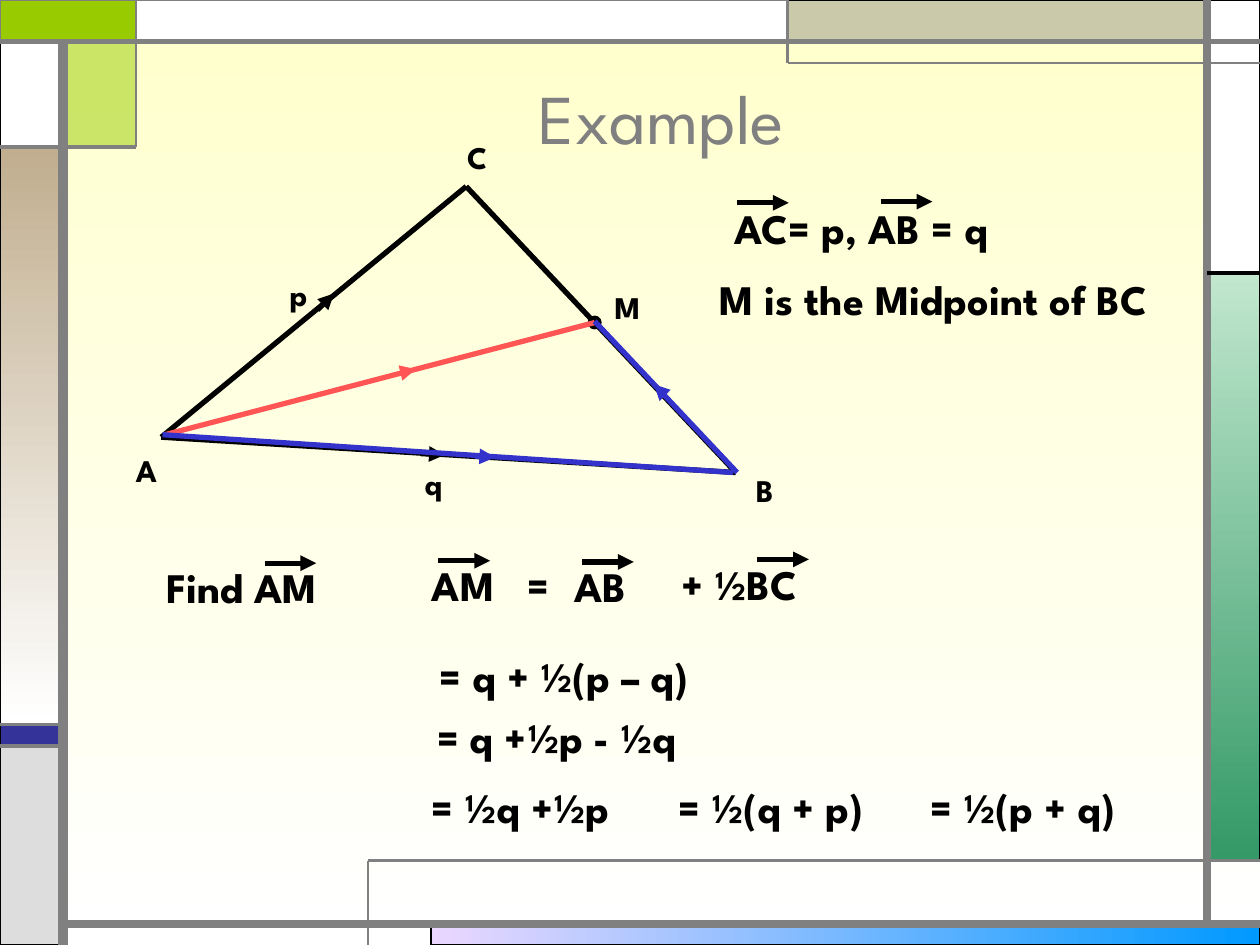
from lxml.etree import SubElement
from pptx import Presentation
from pptx.dml.color import RGBColor
from pptx.enum.shapes import MSO_CONNECTOR, MSO_SHAPE
from pptx.enum.text import MSO_ANCHOR, MSO_AUTO_SIZE, PP_ALIGN
from pptx.oxml.ns import qn
from pptx.util import Inches, Pt

FONT = "League Spartan"
COLORS = {
    "black": "000000", "white": "FFFFFF", "gray": "808080", "cream": "FFFFCC",
    "lime": "99CC00", "khaki": "CAC9AA", "silver": "DDDDDD", "navy": "333399",
    "tan": "C1AE8F", "mint": "C1E7CE", "green": "339966",
    "sky": "0099FF", "lilac": "EBD7FF", "red": "FF5555", "blue": "3333CC",
}
LEFT, RIGHT, TOP, BOTTOM = 0.5, 9.58, 0.33, 7.33
LABEL_HEIGHTS = {18: 0.4, 24: 0.5}
OVERLINE_LENGTH = 0.41


def rgb(color):
    return RGBColor.from_string(COLORS[color])


def fill_gradient(fill, start, end, angle):
    fill.gradient()
    fill.gradient_angle = angle
    for stop, color, position in zip(fill.gradient_stops, (start, end), (0, 1)):
        stop.color.rgb = rgb(color)
        stop.position = position


def add_panel(slide, box, color, end=None, angle=270, alpha=None,
              outline="black", weight=0.75, kind=MSO_SHAPE.RECTANGLE):
    panel = slide.shapes.add_shape(kind, *map(Inches, box))
    panel.shadow.inherit = False
    if end:
        fill_gradient(panel.fill, color, end, angle)
    else:
        panel.fill.solid()
        panel.fill.fore_color.rgb = rgb(color)
    if alpha:
        tint = panel._element.spPr.find(qn("a:solidFill")).find(qn("a:srgbClr"))
        SubElement(tint, qn("a:alpha"), val=str(alpha * 1000))
    panel.line.color.rgb = rgb(outline)
    panel.line.width = Pt(weight)


def add_line(slide, start, end, color="black", weight=3, arrow=False):
    line = slide.shapes.add_connector(
        MSO_CONNECTOR.STRAIGHT, *map(Inches, (*start, *end)))
    line.line.color.rgb = rgb(color)
    line.line.width = Pt(weight)
    if arrow:
        SubElement(line.line._get_or_add_ln(), qn("a:tailEnd"), type="triangle")
    SubElement(line._element.spPr, qn("a:effectLst"))


def add_text(slide, text, box, size, color="black", bold=True):
    label = slide.shapes.add_textbox(*map(Inches, box))
    frame = label.text_frame
    frame.word_wrap = False
    frame.auto_size = MSO_AUTO_SIZE.SHAPE_TO_FIT_TEXT
    frame.text = text
    font = frame.paragraphs[0].runs[0].font
    font.name, font.size, font.bold = FONT, Pt(size), bold
    font.color.rgb = rgb(color)
    return frame


def add_label(slide, text, x, y, width, size=24):
    add_text(slide, text, (x, y, width, LABEL_HEIGHTS[size]), size)


def add_overline(slide, x, y):
    add_line(slide, (x, y), (x + OVERLINE_LENGTH, y), arrow=True)


def add_title(slide):
    frame = add_text(slide, "Example", (1, 0.3, 8.5, 1.25), 40, "gray", False)
    frame.auto_size = MSO_AUTO_SIZE.NONE
    frame.word_wrap = True
    frame.vertical_anchor = MSO_ANCHOR.MIDDLE
    frame.paragraphs[0].alignment = PP_ALIGN.CENTER


def add_frame(slide):
    side = 10 - RIGHT
    add_panel(slide, (3.42, BOTTOM, 6.58, 0.17), "sky", "lilac", 180)
    add_panel(slide, (RIGHT, 2.17, side, 4.67), "mint", "green")
    add_panel(slide, (0, 5.75, LEFT, 0.17), "navy")
    add_panel(slide, (0, 5.92, LEFT, 1.58), "silver")
    add_panel(slide, (RIGHT, 0, side, 2.17), "white")
    add_panel(slide, (6.25, 0, 3.33, TOP), "khaki")
    add_panel(slide, (LEFT, TOP, 0.58, 0.83), "lime", alpha=50)
    add_panel(slide, (0, 1.17, LEFT, 4.58), "tan", "white")
    add_panel(slide, (0, TOP, LEFT, 0.83), "white")
    add_panel(slide, (0, 0, 1.08, TOP), "lime", outline="gray", weight=1.5)
    add_panel(slide, (1.08, 0, 5.17, TOP), "white", outline="gray")

    for start, end, weight in [
        ((LEFT, 7.5), (LEFT, TOP), 6),
        ((LEFT, BOTTOM), (10, BOTTOM), 4.5),
        ((RIGHT, BOTTOM), (RIGHT, 0), 4.5),
        ((0, TOP), (10, TOP), 3),
        ((10, 0.5), (6.25, 0.5), 1.5),
        ((6.25, 0.5), (6.25, 0), 1.5),
        ((1.08, 0), (1.08, 1.17), 1.5),
        ((1.08, 1.17), (0, 1.17), 2.25),
        ((2.92, 7.5), (2.92, 6.83), 1.5),
        ((2.92, 6.83), (10, 6.83), 1.5),
        ((LEFT, 5.75), (0, 5.75), 2.25),
        ((LEFT, 5.92), (0, 5.92), 2.25),
    ]:
        add_line(slide, start, end, "gray", weight)
    add_line(slide, (RIGHT, 2.17), (10, 2.17), weight=2.25)


def add_triangle(slide):
    a, b, c = (1.28, 3.47), (5.84, 3.75), (3.7, 1.48)
    for start, end in [(a, c), (a, b), (c, b)]:
        add_line(slide, start, end)
    add_line(slide, (2.52, 2.46), (2.65, 2.33), arrow=True)
    add_line(slide, (3.34, 3.6), (3.53, 3.61), arrow=True)
    add_panel(slide, (4.67, 2.51, 0.1, 0.1), "black", kind=MSO_SHAPE.OVAL)
    for name, x, y, width in [
        ("A", 0.98, 3.53, 0.37), ("B", 5.9, 3.69, 0.37), ("C", 3.61, 1.05, 0.36),
        ("p", 2.2, 2.13, 0.36), ("q", 3.27, 3.63, 0.36), ("M", 4.78, 2.24, 0.43),
    ]:
        add_label(slide, name, x, y, width, 18)


def add_routes(slide):
    for color, start, end, arrow_start, arrow_end in [
        ("red", (1.31, 3.45), (4.72, 2.56), (3.18, 2.96), (3.3, 2.93)),
        ("blue", (5.85, 3.75), (4.72, 2.55), (5.23, 3.09), (5.19, 3.05)),
        ("blue", (1.29, 3.45), (5.82, 3.75), (3.77, 3.62), (3.93, 3.63)),
    ]:
        add_line(slide, start, end, color)
        add_line(slide, arrow_start, arrow_end, color, arrow=True)


def add_working(slide):
    for text, x, y, width in [
        ("AC= p, AB = q", 5.73, 1.56, 2.34),
        ("M is the Midpoint of BC", 5.61, 2.12, 4.05),
        ("Find AM", 1.22, 4.41, 1.54),
        ("AM", 3.33, 4.39, 0.74),
        ("=", 4.09, 4.39, 0.39),
        ("AB", 4.46, 4.4, 0.65),
        ("+ ½BC", 5.31, 4.38, 1.2),
        ("= q + ½(p – q)", 3.39, 5.11, 2.33),
        ("= q +½p - ½q", 3.37, 5.6, 2.25),
        ("= ½q +½p", 3.33, 6.15, 1.84),
        ("= ½(q + p)", 5.29, 6.15, 1.86),
        ("= ½(p + q)", 7.29, 6.15, 1.86),
    ]:
        add_label(slide, text, x, y, width)
    for x, y in [(5.85, 1.61), (6.99, 1.6), (2.1, 4.47),
                 (3.48, 4.45), (4.62, 4.46), (6.01, 4.44)]:
        add_overline(slide, x, y)


def main():
    deck = Presentation()
    deck.slide_width, deck.slide_height = Inches(10), Inches(7.5)
    slide = deck.slides.add_slide(deck.slide_layouts[6])
    fill_gradient(slide.background.fill, "cream", "white", 270)
    add_frame(slide)
    add_title(slide)
    add_triangle(slide)
    add_working(slide)
    add_routes(slide)
    deck.save("out.pptx")


if __name__ == "__main__":
    main()
